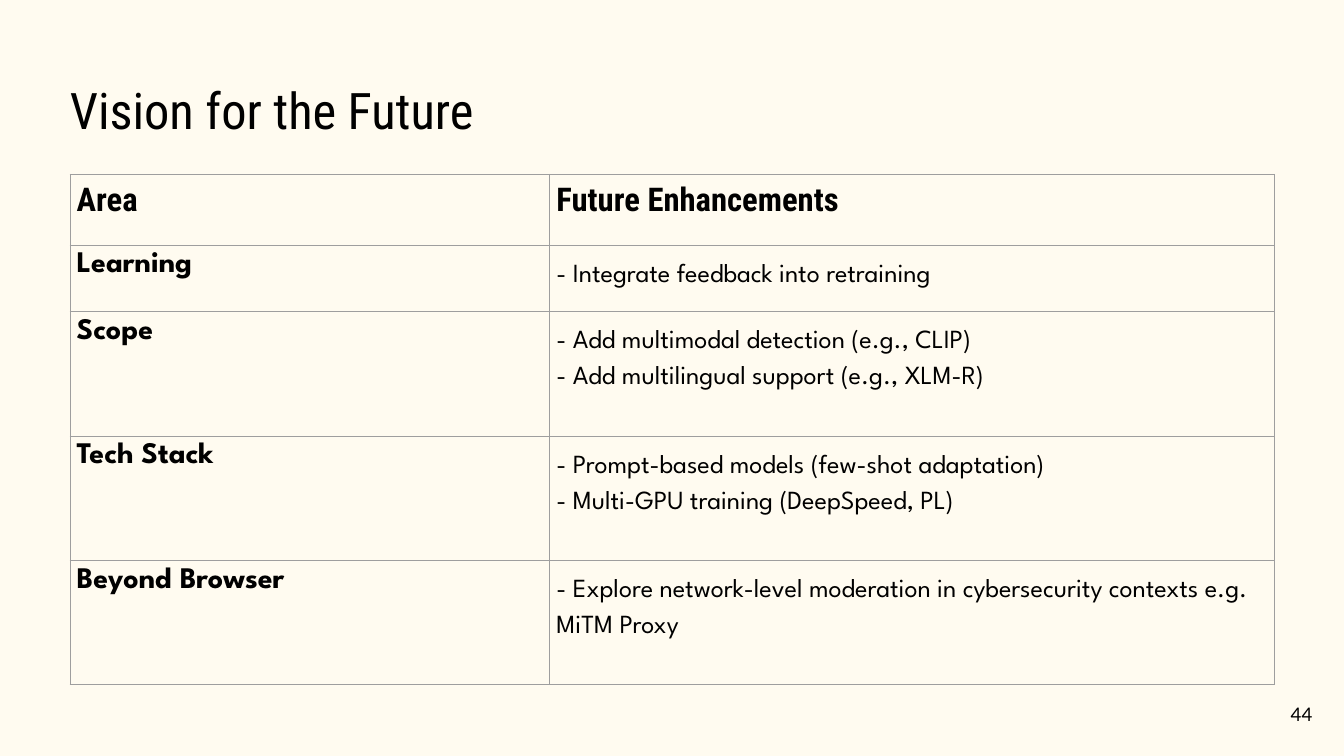
from dataclasses import dataclass

from lxml import etree
from pptx import Presentation
from pptx.dml.color import RGBColor
from pptx.enum.text import MSO_ANCHOR, MSO_AUTO_SIZE, PP_ALIGN
from pptx.oxml.ns import qn
from pptx.util import Emu, Pt

TOP, MIDDLE = MSO_ANCHOR.TOP, MSO_ANCHOR.MIDDLE
LEFT, RIGHT = PP_ALIGN.LEFT, PP_ALIGN.RIGHT
NO_AUTOFIT = MSO_AUTO_SIZE.NONE
PX_PER_INCH = 100
EMU_PER_PX = 914400 // PX_PER_INCH


@dataclass(frozen=True)
class TextStyle:
    font: str
    size: int
    bold: bool = False
    line_spacing: float = 1.0


@dataclass(frozen=True)
class Theme:
    background: str = "FFFBF0"
    ink: str = "000000"
    border: str = "9E9E9E"
    border_width: float = 0.75
    title: TextStyle = TextStyle("Roboto Condensed", 54)
    header: TextStyle = TextStyle("Roboto Condensed", 35, True)
    area: TextStyle = TextStyle("League Spartan", 32, True)
    detail: TextStyle = TextStyle("League Spartan", 28, False, 1.5)
    number: TextStyle = TextStyle("Lato", 20)


@dataclass(frozen=True)
class Row:
    height: int
    area: str
    enhancements: tuple[str, ...]


THEME = Theme()
COLUMN_WIDTHS = (714, 1078)
HEADER = Row(106, "Area", ("Future Enhancements",))
ROWS = (
    Row(99, "Learning", ("- Integrate feedback into retraining",)),
    Row(185, "Scope", (
        "- Add multimodal detection (e.g., CLIP)",
        "- Add multilingual support (e.g., XLM-R)",
    )),
    Row(185, "Tech Stack", (
        "- Prompt-based models (few-shot adaptation)",
        "- Multi-GPU training (DeepSpeed, PL)",
    )),
    Row(185, "Beyond Browser", (
        "- Explore network-level moderation in cybersecurity contexts e.g. MiTM Proxy",
    )),
)


def px(length: int) -> Emu:
    return Emu(length * EMU_PER_PX)


def write_lines(text_frame, lines: tuple[str, ...], style: TextStyle, align=LEFT) -> None:
    for index, line in enumerate(lines):
        paragraph = text_frame.add_paragraph() if index else text_frame.paragraphs[0]
        paragraph.alignment = align
        paragraph.line_spacing = style.line_spacing
        run = paragraph.add_run()
        run.text = line
        run.font.name = style.font
        run.font.size = Pt(style.size)
        run.font.bold = style.bold
        run.font.color.rgb = RGBColor.from_string(THEME.ink)


def format_frame(text_frame, anchor, left_inset: int = 20) -> None:
    text_frame.word_wrap = True
    text_frame.auto_size = NO_AUTOFIT
    text_frame.vertical_anchor = anchor
    text_frame.margin_left = px(left_inset)
    text_frame.margin_top = text_frame.margin_right = text_frame.margin_bottom = px(20)


def draw_borders(cell) -> None:
    properties = cell._tc.get_or_add_tcPr()
    for side in ("a:lnL", "a:lnR", "a:lnT", "a:lnB"):
        line = etree.SubElement(properties, qn(side), w=str(Pt(THEME.border_width)))
        fill = etree.SubElement(line, qn("a:solidFill"))
        etree.SubElement(fill, qn("a:srgbClr"), val=THEME.border)


def fill_cell(cell, lines: tuple[str, ...], style: TextStyle) -> None:
    draw_borders(cell)
    cell.fill.background()
    cell.vertical_anchor = TOP
    cell.margin_left = cell.margin_top = cell.margin_right = cell.margin_bottom = px(10)
    write_lines(cell.text_frame, lines, style)


def add_title(slide, text: str) -> None:
    title = slide.shapes.title
    title.left, title.top, title.width, title.height = map(px, (68, 97, 1864, 134))
    format_frame(title.text_frame, TOP, left_inset=36)
    write_lines(title.text_frame, (text,), THEME.title)


def add_slide_number(slide, number: str) -> None:
    box = slide.shapes.add_textbox(*map(px, (1853, 1020, 120, 86)))
    format_frame(box.text_frame, MIDDLE)
    write_lines(box.text_frame, (number,), THEME.number, RIGHT)


def add_roadmap(slide) -> None:
    rows = (HEADER, *ROWS)
    width, height = sum(COLUMN_WIDTHS), sum(row.height for row in rows)
    table = slide.shapes.add_table(
        len(rows), len(COLUMN_WIDTHS), *map(px, (104, 259, width, height))
    ).table
    table.first_row = table.horz_banding = False
    for column, column_width in zip(table.columns, COLUMN_WIDTHS):
        column.width = px(column_width)
    for index, row in enumerate(rows):
        table.rows[index].height = px(row.height)
        is_header = row is HEADER
        fill_cell(table.cell(index, 0), (row.area,), THEME.header if is_header else THEME.area)
        fill_cell(table.cell(index, 1), row.enhancements, THEME.header if is_header else THEME.detail)


def main() -> None:
    presentation = Presentation()
    presentation.slide_width, presentation.slide_height = px(2000), px(1125)
    slide = presentation.slides.add_slide(presentation.slide_layouts.get_by_name("Title Only"))
    slide.background.fill.solid()
    slide.background.fill.fore_color.rgb = RGBColor.from_string(THEME.background)
    add_title(slide, "Vision for the Future")
    add_slide_number(slide, "44")
    add_roadmap(slide)
    presentation.save("out.pptx")


if __name__ == "__main__":
    main()
